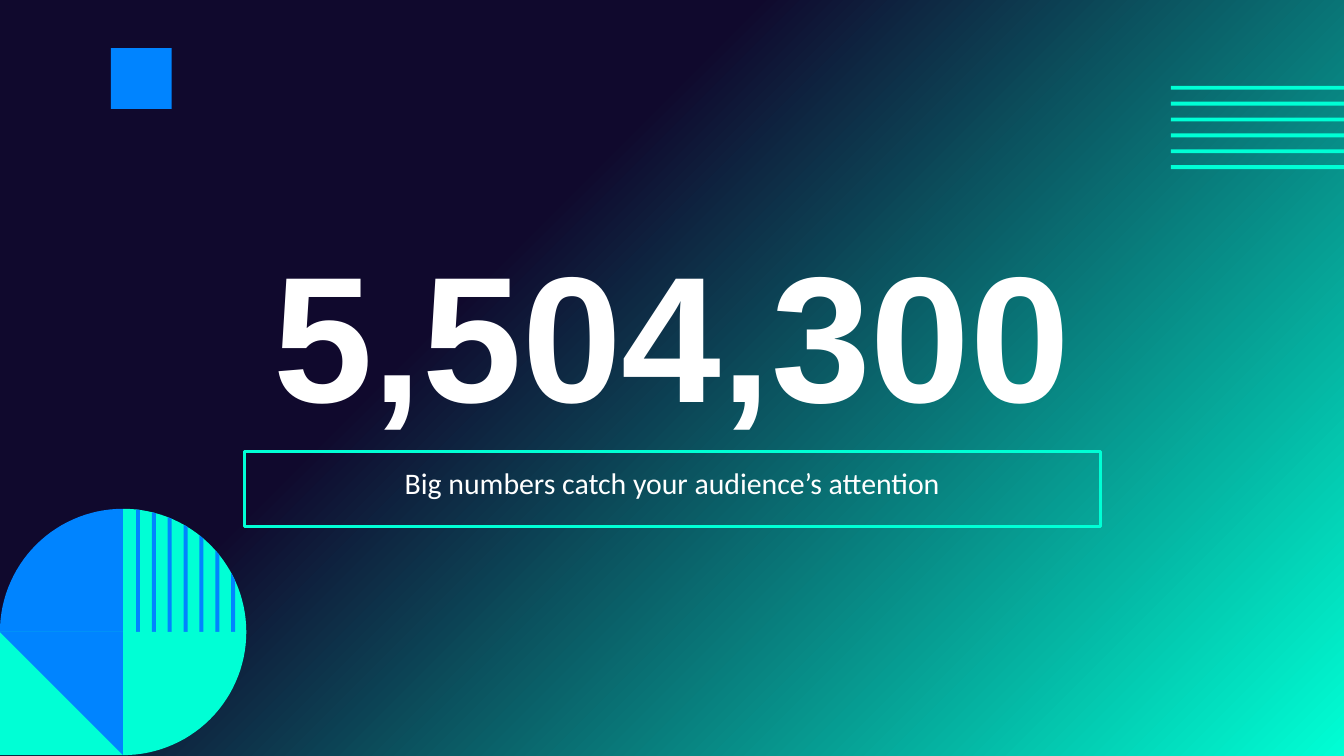
from copy import deepcopy
from math import cos, radians, sin, sqrt

from pptx import Presentation
from pptx.dml.color import RGBColor
from pptx.enum import shapes, text
from pptx.util import Pt

NAVY, MINT, BLUE, WHITE = "10092D", "00FFD5", "0084FF", "FFFFFF"
STEP, BAR = 8.5, 2.1  # pitch and thickness of the stripes


def rgb(value):
    return RGBColor.from_string(value)


def paint(sp, color):
    sp.shadow.inherit = False
    sp.fill.solid()
    sp.fill.fore_color.rgb = rgb(color)
    sp.line.fill.background()


def rect(s, x, y, w, h, color):
    sp = s.shapes.add_shape(shapes.MSO_SHAPE.RECTANGLE, Pt(x), Pt(y), Pt(w), Pt(h))
    paint(sp, color)


def polygon(s, points, color):
    (x, y), *rest = [(Pt(px), Pt(py)) for px, py in points]
    builder = s.shapes.build_freeform(x, y)
    builder.add_line_segments(rest, close=True)
    paint(builder.convert_to_shape(), color)


def background(s):
    fill = s.background.fill
    fill.gradient()
    fill.gradient_angle = 315  # counter-clockwise: runs to the lower right
    gs_list = fill._fill._gradFill.gsLst
    gs_list.insert(1, deepcopy(gs_list[0]))
    stops = ((0, NAVY), (0.36, NAVY), (1, MINT))
    for stop, (position, color) in zip(fill.gradient_stops, stops):
        stop.position = position
        stop.color.rgb = rgb(color)


def side_stripes(s, x, y, w, count):
    for i in range(count):
        rect(s, x, y + i * STEP, w, BAR, MINT)


def text_block(s, x, y, w, h, words, size, font, bold=False, outline=None,
               anchor=text.MSO_ANCHOR.TOP):
    sp = s.shapes.add_textbox(Pt(x), Pt(y), Pt(w), Pt(h))
    if outline:
        sp.line.color.rgb = rgb(outline)
        sp.line.width = Pt(1.5)
    tf = sp.text_frame
    frame = {"word_wrap": True, "vertical_anchor": anchor}
    frame.update({f"margin_{side}": Pt(7.2)
                  for side in ("left", "top", "right", "bottom")})
    for name, value in frame.items():
        setattr(tf, name, value)
    p = tf.paragraphs[0]
    p.alignment = text.PP_ALIGN.CENTER
    r = p.add_run()
    r.text = words
    for name, value in {"name": font, "size": Pt(size), "bold": bold}.items():
        setattr(r.font, name, value)
    r.font.color.rgb = rgb(WHITE)


def round_emblem(s, x, y, size):
    """Four quarters that meet in the middle of the box."""
    radius = size / 2
    cx, cy = x + radius, y + radius

    def quarter(start, color):
        angles = [radians(start + a) for a in range(0, 91, 3)]
        arc = [(cx + radius * cos(a), cy + radius * sin(a)) for a in angles]
        polygon(s, [(cx, cy)] + arc, color)

    # Upper left quarter, then the lower left square with its triangle
    quarter(180, BLUE)
    rect(s, x, cy, radius, radius, MINT)
    polygon(s, [(cx, cy), (x, cy), (cx, y + size)], BLUE)

    # Upper right quarter with stripes cut off by the circle
    quarter(270, MINT)
    for i in range(7):
        left = 6.9 + i * STEP
        right = left + BAR
        tops = [(cx + d, cy - sqrt(radius ** 2 - d ** 2)) for d in (left, right)]
        polygon(s, tops + [(cx + right, cy), (cx + left, cy)], BLUE)

    # Lower right quarter
    quarter(0, MINT)


def big_number_slide(prs):
    s = prs.slides.add_slide(prs.slide_layouts[6])
    background(s)
    side_stripes(s, 627.3, 46, 184, 6)
    rect(s, 59.4, 25.8, 32.6, 32.6, BLUE)
    text_block(s, 101, 123, 518, 119, "5,504,300", 96, "Arial", bold=True,
               anchor=text.MSO_ANCHOR.BOTTOM)
    text_block(s, 131, 241.9, 458.4, 40.2,
               "Big numbers catch your audience’s attention", 16, "Calibri",
               outline=MINT)
    round_emblem(s, 0, 272.6, 132)


def main():
    prs = Presentation()
    prs.slide_width, prs.slide_height = Pt(720), Pt(405)
    big_number_slide(prs)
    prs.save("out.pptx")


if __name__ == "__main__":
    main()
